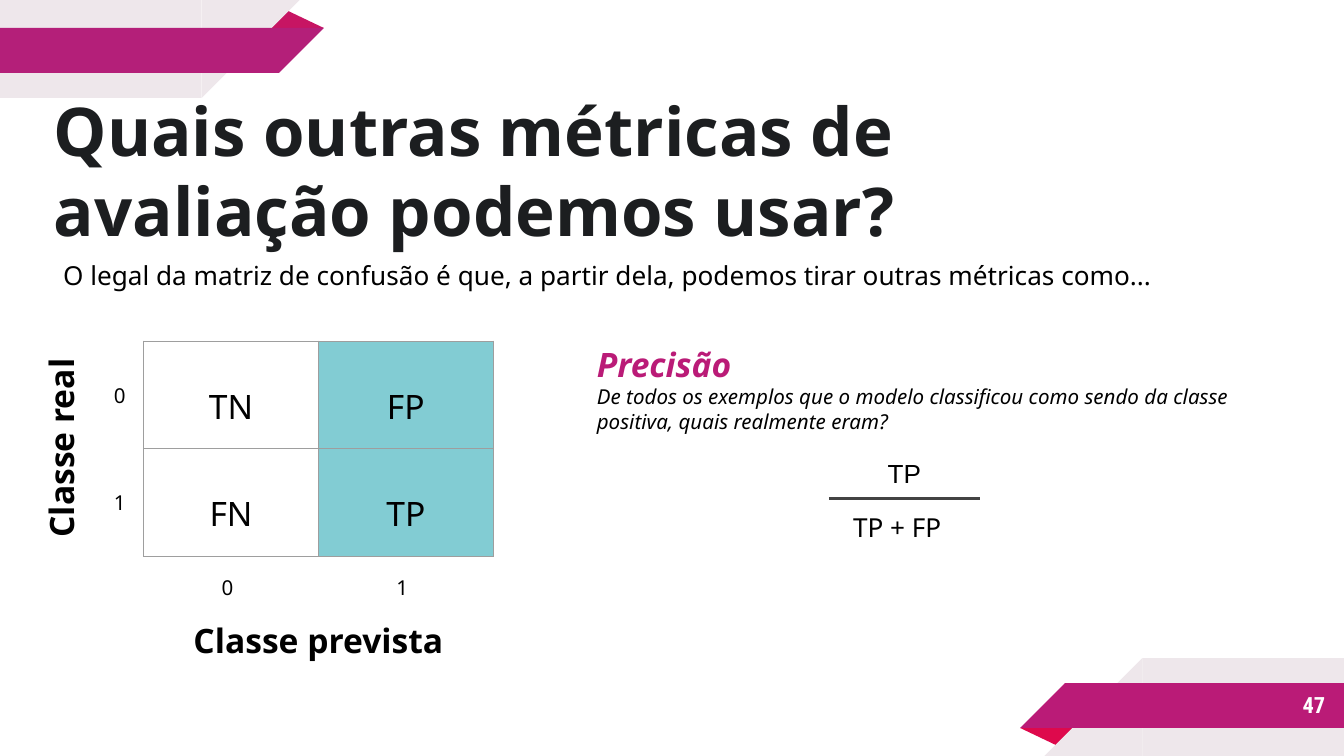
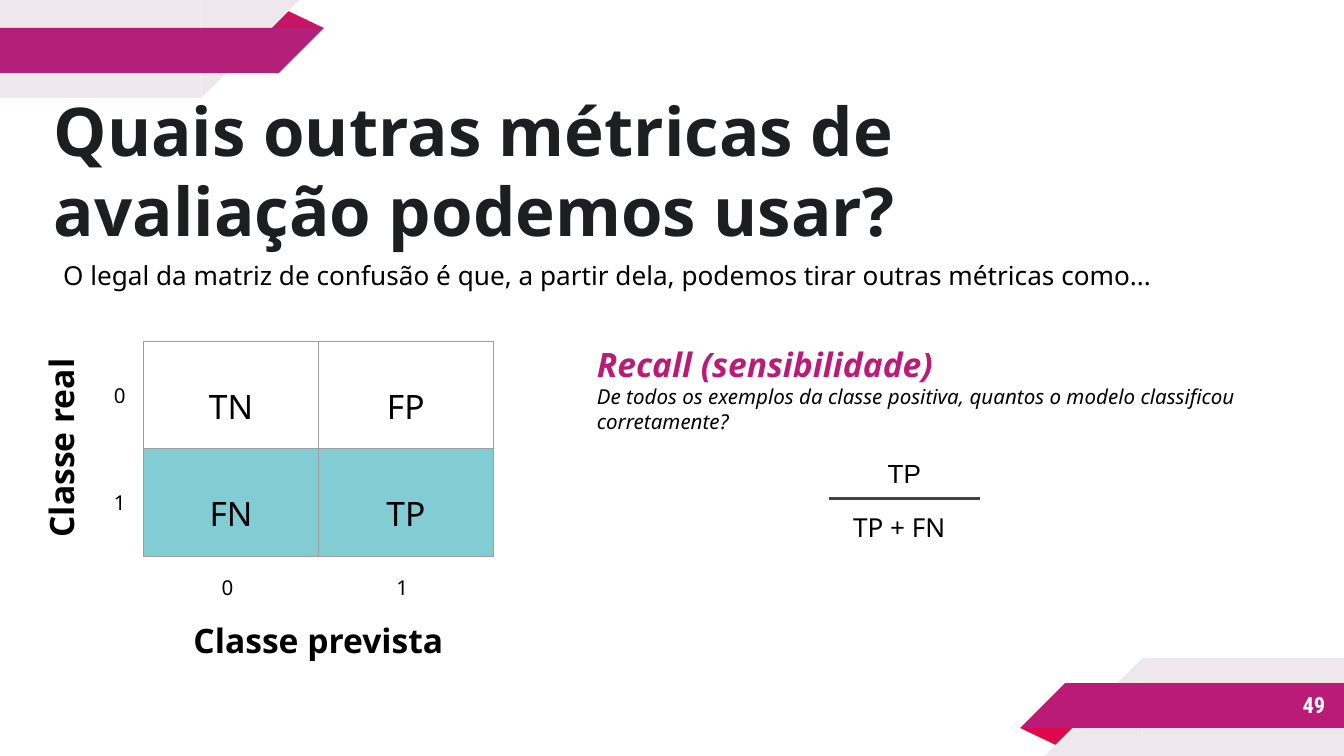
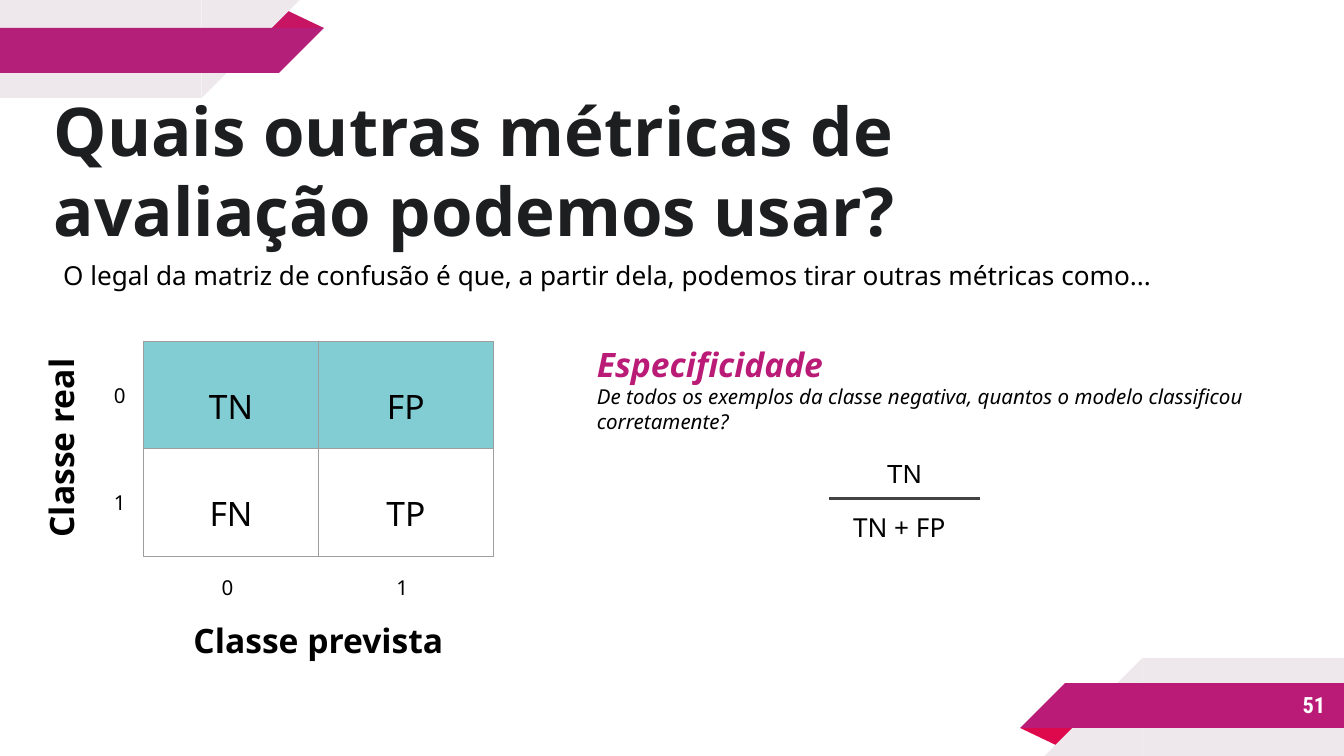
from lxml import etree
from pptx import Presentation
from pptx.dml.color import RGBColor
from pptx.enum.shapes import MSO_CONNECTOR, MSO_SHAPE
from pptx.enum.text import MSO_ANCHOR, PP_ALIGN
from pptx.oxml import parse_xml
from pptx.oxml.ns import nsdecls, qn
from pptx.util import Pt

RECT, TRIANGLE, CORNER = MSO_SHAPE.RECTANGLE, MSO_SHAPE.ISOSCELES_TRIANGLE, MSO_SHAPE.RIGHT_TRIANGLE
LEFT, CENTER, RIGHT = PP_ALIGN.LEFT, PP_ALIGN.CENTER, PP_ALIGN.RIGHT
TOP, MIDDLE, BOTTOM = MSO_ANCHOR.TOP, MSO_ANCHOR.MIDDLE, MSO_ANCHOR.BOTTOM

BLACK = RGBColor(0x00, 0x00, 0x00)
WHITE = RGBColor(0xFF, 0xFF, 0xFF)
INK = RGBColor(0x1C, 0x1E, 0x20)
MAGENTA = RGBColor(0xBA, 0x1B, 0x77)
PURPLE = RGBColor(0xB4, 0x1F, 0x79)
CRIMSON = RGBColor(0xC7, 0x15, 0x63)
RED = RGBColor(0xDE, 0x09, 0x4C)
PALE = RGBColor(0xEE, 0xE7, 0xEB)
GRAY = RGBColor(0x43, 0x43, 0x43)
TEAL = RGBColor(0x00, 0x97, 0xA7)
GRID = "9E9E9E"
FONT = "Noto Sans"

W, H = 720, 405
TABLE_X, TABLE_Y, COL_W, ROW_H = 77, 182.75, 93.6, 57.6
MATRIX = [["TN", "FP"], ["FN", "TP"]]

# Page number, metric, question, numerator, denominator, highlighted cells
METRICS = [
    ("47", "Precisão",
     "De todos os exemplos que o modelo classificou como sendo da classe positiva, quais realmente eram?",
     "TP", "TP + FP", {"FP", "TP"}),
    ("49", "Recall (sensibilidade)",
     "De todos os exemplos da classe positiva, quantos o modelo classificou corretamente?",
     "TP", "TP + FN", {"FN", "TP"}),
    ("51", "Especificidade",
     "De todos os exemplos da classe negativa, quantos o modelo classificou corretamente?",
     "TN", "TN + FP", {"TN", "FP"}),
]

# Corner bands: shape, left, top, width, height, extra turn, colour name
BANDS = [
    (TRIANGLE, 142.5, 5, 31, 10, 0, "peak"),
    (RECT, 0, 0, 108, 52.5, 0, "pale"),
    (CORNER, 108, 0, 52.5, 52.5, 90, "pale"),
    (RECT, 0, 15, 149.5, 24, 0, "band"),
    (CORNER, 149.5, 15, 24, 24, 90, "band"),
]
CORNER_COLORS = {
    0: {"peak": CRIMSON, "pale": PALE, "band": PURPLE},
    180: {"peak": RED, "pale": PALE, "band": MAGENTA},
}


def style(p, size, color=BLACK, bold=False, italic=False, font=FONT, align=LEFT):
    p.alignment = align
    p.font.name, p.font.size = font, Pt(size)
    p.font.bold, p.font.italic = bold, italic
    p.font.color.rgb = color


def add_text(s, x, y, w, h, text, size, anchor=TOP, inset=5, **look):
    sp = s.shapes.add_textbox(Pt(x), Pt(y), Pt(w), Pt(h))
    tf = sp.text_frame
    tf.word_wrap, tf.vertical_anchor = True, anchor
    tf.margin_left = tf.margin_right = tf.margin_top = tf.margin_bottom = Pt(inset)
    tf.text = text
    style(tf.paragraphs[0], size, **look)
    return sp


prs = Presentation()
prs.slide_width, prs.slide_height = Pt(W), Pt(H)

for page, metric, question, numerator, denominator, marked in METRICS:
    s = prs.slides.add_slide(prs.slide_layouts[6])

    # Bands: the bottom right corner is the top left one turned by 180 degrees
    for turn, colors in CORNER_COLORS.items():
        for kind, x, y, w, h, extra, part in BANDS:
            if turn:
                x, y = W - x - w, H - y - h
            sp = s.shapes.add_shape(kind, Pt(x), Pt(y), Pt(w), Pt(h))
            sp.rotation = turn + extra
            sp.shadow.inherit = False
            sp.fill.solid()
            sp.fill.fore_color.rgb = colors[part]
            sp.line.fill.background()
            if kind == TRIANGLE:
                sp.adjustments[0] = 0.324

    # Title, introduction and page number
    add_text(s, 28.8, 36, 610.5, 98, "Quais outras métricas de avaliação podemos usar?", 36,
             anchor=BOTTOM, inset=0, color=INK, bold=True)
    add_text(s, 28.8, 134, 674, 45,
             "O legal da matriz de confusão é que, a partir dela, podemos tirar outras métricas como...", 14)
    add_text(s, 600, 365, 117, 25, page, 12, anchor=MIDDLE, inset=7.2,
             color=WHITE, bold=True, font="Roboto Condensed", align=RIGHT)

    # Metric and its question
    tf = add_text(s, 314.75, 179.25, 378, 69, metric, 18, color=MAGENTA, bold=True, italic=True).text_frame
    p = tf.add_paragraph()
    p.text = question
    style(p, 11, italic=True)

    # Fraction
    add_text(s, 444, 240, 81, 29, numerator, 14, font="Arial", align=CENTER)
    add_text(s, 452, 269, 119, 39, denominator, 14)
    line = s.shapes.add_connector(MSO_CONNECTOR.STRAIGHT, Pt(444), Pt(267.25), Pt(525), Pt(267.25))
    line.line.color.rgb, line.line.width = GRAY, Pt(1.5)
    etree.SubElement(line.element.spPr, qn("a:effectLst"))

    # Confusion matrix
    frame = s.shapes.add_table(2, 2, Pt(TABLE_X), Pt(TABLE_Y), Pt(2 * COL_W), Pt(2 * ROW_H))
    table = frame.table
    table.first_row = table.horz_banding = False
    for i, names in enumerate(MATRIX):
        table.columns[i].width, table.rows[i].height = Pt(COL_W), Pt(ROW_H)
        for j, name in enumerate(names):
            cell = table.cell(i, j)
            cell.text, cell.vertical_anchor = name, MIDDLE
            cell.margin_left = cell.margin_right = cell.margin_top = cell.margin_bottom = Pt(5)
            p = cell.text_frame.paragraphs[0]
            p.line_spacing = 1.5
            style(p, 18, align=CENTER)
            tcPr = cell._tc.get_or_add_tcPr()
            for side in ("lnL", "lnR", "lnT", "lnB"):
                tcPr.append(parse_xml(
                    f'<a:{side} {nsdecls("a")} w="9525"><a:solidFill>'
                    f'<a:srgbClr val="{GRID}"/></a:solidFill></a:{side}>'))
            if name in marked:
                cell.fill.solid()
                cell.fill.fore_color.rgb = TEAL
                color = tcPr.find(qn("a:solidFill")).find(qn("a:srgbClr"))
                etree.SubElement(color, qn("a:alpha")).set("val", "49000")
            else:
                cell.fill.background()

    # Class labels and axis names
    for i in range(2):
        add_text(s, 56, TABLE_Y + i * ROW_H, 21, ROW_H, str(i), 11, anchor=MIDDLE)
        add_text(s, 113.75 + i * COL_W, 297.5, 21, 34.5, str(i), 11, anchor=MIDDLE)
    add_text(s, TABLE_X, 327, 2 * COL_W, 39, "Classe prevista", 18, bold=True, align=CENTER)
    sp = add_text(s, -21, 220.5, 114.5, 39, "Classe real", 18, bold=True, align=CENTER)
    sp.rotation = 270

prs.save("out.pptx")
